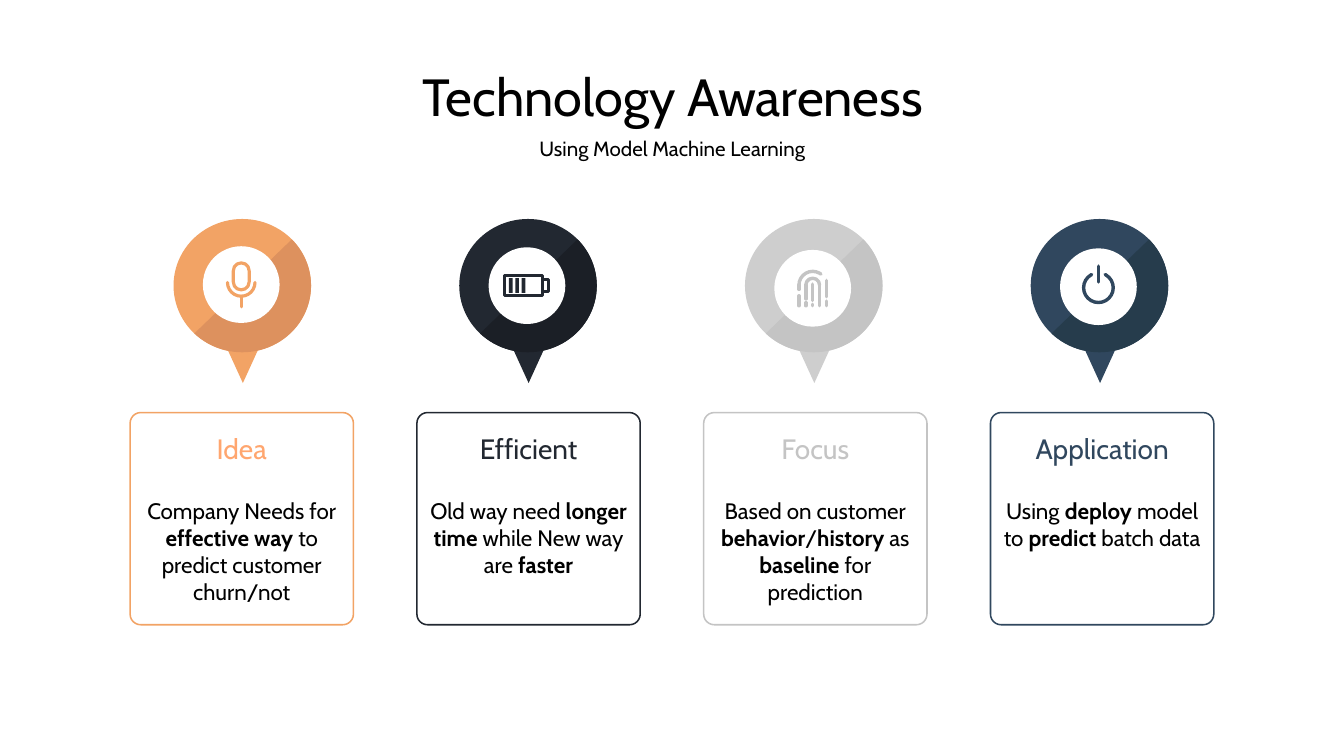
from dataclasses import dataclass
from typing import Callable

from lxml import etree
from pptx import Presentation
from pptx.dml.color import RGBColor
from pptx.enum.shapes import MSO_CONNECTOR, MSO_SHAPE
from pptx.enum.text import MSO_ANCHOR, PP_ALIGN
from pptx.oxml.ns import qn
from pptx.util import Cm, Pt

OVAL, CHORD, ARC = MSO_SHAPE.OVAL, MSO_SHAPE.CHORD, MSO_SHAPE.ARC
RECTANGLE, ROUNDED = MSO_SHAPE.RECTANGLE, MSO_SHAPE.ROUNDED_RECTANGLE
TRIANGLE = MSO_SHAPE.ISOSCELES_TRIANGLE
STRAIGHT = MSO_CONNECTOR.STRAIGHT
TOP, MIDDLE = MSO_ANCHOR.TOP, MSO_ANCHOR.MIDDLE
CENTER = PP_ALIGN.CENTER

FONT = "Cabin"
BLACK, WHITE = "000000", "FFFFFF"
PIN_X, PIN_Y, PIN_PITCH = 4.58, 5.4, 5.4
PIN_WIDTH, PIN_HEIGHT, HUB_SIZE = 2.6, 2.52, 1.45
CARD_LEFT, CARD_TOP, CARD_PITCH = 2.46, 7.8, 5.42
CARD_WIDTH, CARD_HEIGHT, HEADING_HEIGHT = 4.22, 4.01, 1.35


@dataclass
class Topic:
    heading: str
    heading_color: str
    body: list
    card_color: str
    pin_color: str
    shade_color: str
    hub_y: float
    draw_icon: Callable


def rgb(color):
    return RGBColor.from_string(color)


def add_figure(page, kind, left, top, width, height, fill=None, line=None, weight=1):
    figure = page.shapes.add_shape(kind, Cm(left), Cm(top), Cm(width), Cm(height))
    figure.shadow.inherit = False
    if fill:
        figure.fill.solid()
        figure.fill.fore_color.rgb = rgb(fill)
    else:
        figure.fill.background()
    if line:
        figure.line.color.rgb = rgb(line)
        figure.line.width = Pt(weight)
    else:
        figure.line.fill.background()
    return figure


def round_caps(figure):
    figure._element.spPr.find(qn("a:ln")).set("cap", "rnd")


def set_angles(figure, start, end):
    for index, degrees in enumerate((start, end)):
        figure.adjustments[index] = degrees * 60000 / 100000


def add_arc(page, x, y, radius, start, end, color, weight):
    arc = add_figure(page, ARC, x - radius, y - radius, 2 * radius, 2 * radius,
                     line=color, weight=weight)
    set_angles(arc, start, end)
    round_caps(arc)


def add_stroke(page, x, top, bottom, color, weight):
    stroke = page.shapes.add_connector(STRAIGHT, Cm(x), Cm(top), Cm(x), Cm(bottom))
    stroke.line.color.rgb = rgb(color)
    stroke.line.width = Pt(weight)
    etree.SubElement(stroke._element.spPr, qn("a:effectLst"))
    round_caps(stroke)


def add_text(page, left, top, width, height, spans, size, color=BLACK, anchor=MIDDLE):
    box = page.shapes.add_textbox(Cm(left), Cm(top), Cm(width), Cm(height))
    frame = box.text_frame
    frame.word_wrap = True
    frame.vertical_anchor = anchor
    frame.margin_left = frame.margin_right = Cm(0.25)
    frame.margin_top = frame.margin_bottom = Cm(0.25)
    para = frame.paragraphs[0]
    para.alignment = CENTER
    for index, text in enumerate(spans):
        span = para.add_run()
        span.text = text
        span.font.name = FONT
        span.font.size = Pt(size)
        span.font.bold = index % 2 == 1
        span.font.color.rgb = rgb(color)


def draw_microphone(page, x, y, color):
    capsule = add_figure(page, ROUNDED, x - 0.15, y - 0.41, 0.3, 0.51,
                         line=color, weight=1.7)
    capsule.adjustments[0] = 0.5
    add_arc(page, x, y - 0.04, 0.26, 0, 180, color, 1.7)
    add_stroke(page, x, y + 0.22, y + 0.42, color, 1.7)


def draw_battery(page, x, y, color):
    add_figure(page, RECTANGLE, x - 0.42, y - 0.19, 0.71, 0.38, line=color, weight=1.6)
    add_figure(page, RECTANGLE, x + 0.29, y - 0.11, 0.12, 0.22, line=color, weight=1.6)
    for bar in range(3):
        add_figure(page, RECTANGLE, x - 0.34 + 0.12 * bar, y - 0.14, 0.07, 0.28, fill=color)


def draw_fingerprint(page, x, y, color):
    add_arc(page, x, y - 0.06, 0.26, 180, 307, color, 1.8)
    add_arc(page, x, y - 0.06, 0.13, 180, 360, color, 1.8)
    ridges = [
        (-0.26, -0.06, 0.02), (-0.26, 0.14, 0.33),
        (-0.13, -0.06, 0.2), (-0.13, 0.27, 0.33),
        (0, -0.08, 0.23), (0, 0.3, 0.33),
        (0.13, -0.06, 0.33),
        (0.26, -0.15, 0.16), (0.26, 0.24, 0.33),
    ]
    for offset, top, bottom in ridges:
        add_stroke(page, x + offset, y + top, y + bottom, color, 1.8)


def draw_power(page, x, y, color):
    add_arc(page, x, y + 0.02, 0.28, 297, 243, color, 1.8)
    add_stroke(page, x, y - 0.39, y - 0.09, color, 1.8)


def add_pin(page, x, topic):
    pointer = add_figure(page, TRIANGLE, x - 0.36, 6.43, 0.74, 0.81, fill=topic.pin_color)
    pointer.rotation = 180
    disc = (x - PIN_WIDTH / 2, PIN_Y - PIN_HEIGHT / 2, PIN_WIDTH, PIN_HEIGHT)
    add_figure(page, OVAL, *disc, fill=topic.pin_color)
    shade = add_figure(page, CHORD, *disc, fill=topic.shade_color)
    set_angles(shade, 317, 135)
    hub_x = x - 0.02
    add_figure(page, OVAL, hub_x - HUB_SIZE / 2, topic.hub_y - HUB_SIZE / 2,
               HUB_SIZE, HUB_SIZE, fill=WHITE)
    topic.draw_icon(page, hub_x, topic.hub_y, topic.card_color)


def add_card(page, left, topic):
    card = add_figure(page, ROUNDED, left, CARD_TOP, CARD_WIDTH, CARD_HEIGHT,
                      line=topic.card_color, weight=0.81)
    card.adjustments[0] = 0.05
    add_text(page, left, CARD_TOP, CARD_WIDTH, HEADING_HEIGHT,
             [topic.heading], 15, topic.heading_color)
    add_text(page, left, CARD_TOP + HEADING_HEIGHT, CARD_WIDTH,
             CARD_HEIGHT - HEADING_HEIGHT, topic.body, 12, anchor=TOP)


def main():
    topics = [
        Topic("Idea", "FFA66F",
              ["Company Needs for ", "effective way ", "to predict customer churn/not"],
              "F2A365", "F2A365", "DD915E", 5.38, draw_microphone),
        Topic("Efficient", "222831",
              ["Old way need ", "longer time", " while New way are ", "faster"],
              "222831", "222831", "1B1F26", 5.4, draw_battery),
        Topic("Focus", "C4C4C4",
              ["Based on customer ", "behavior", "/", "history", " as ", "baseline ",
               "for prediction"],
              "C4C4C4", "CECECE", "C4C4C4", 5.45, draw_fingerprint),
        Topic("Application", "30475E",
              ["Using ", "deploy ", "model to ", "predict ", "batch data"],
              "30475E", "30475E", "263C4C", 5.42, draw_power),
    ]
    deck = Presentation()
    deck.slide_width, deck.slide_height = Cm(25.4), Cm(14.29)
    page = deck.slides.add_slide(deck.slide_layouts[6])
    add_text(page, 1.98, 1.14, 21.46, 1.35, ["Technology Awareness"], 28)
    add_text(page, 1.98, 2.13, 21.46, 1.35, ["Using Model Machine Learning"], 11)
    for index, topic in enumerate(topics):
        add_card(page, CARD_LEFT + index * CARD_PITCH, topic)
        add_pin(page, PIN_X + index * PIN_PITCH, topic)
    deck.save("out.pptx")


if __name__ == "__main__":
    main()
